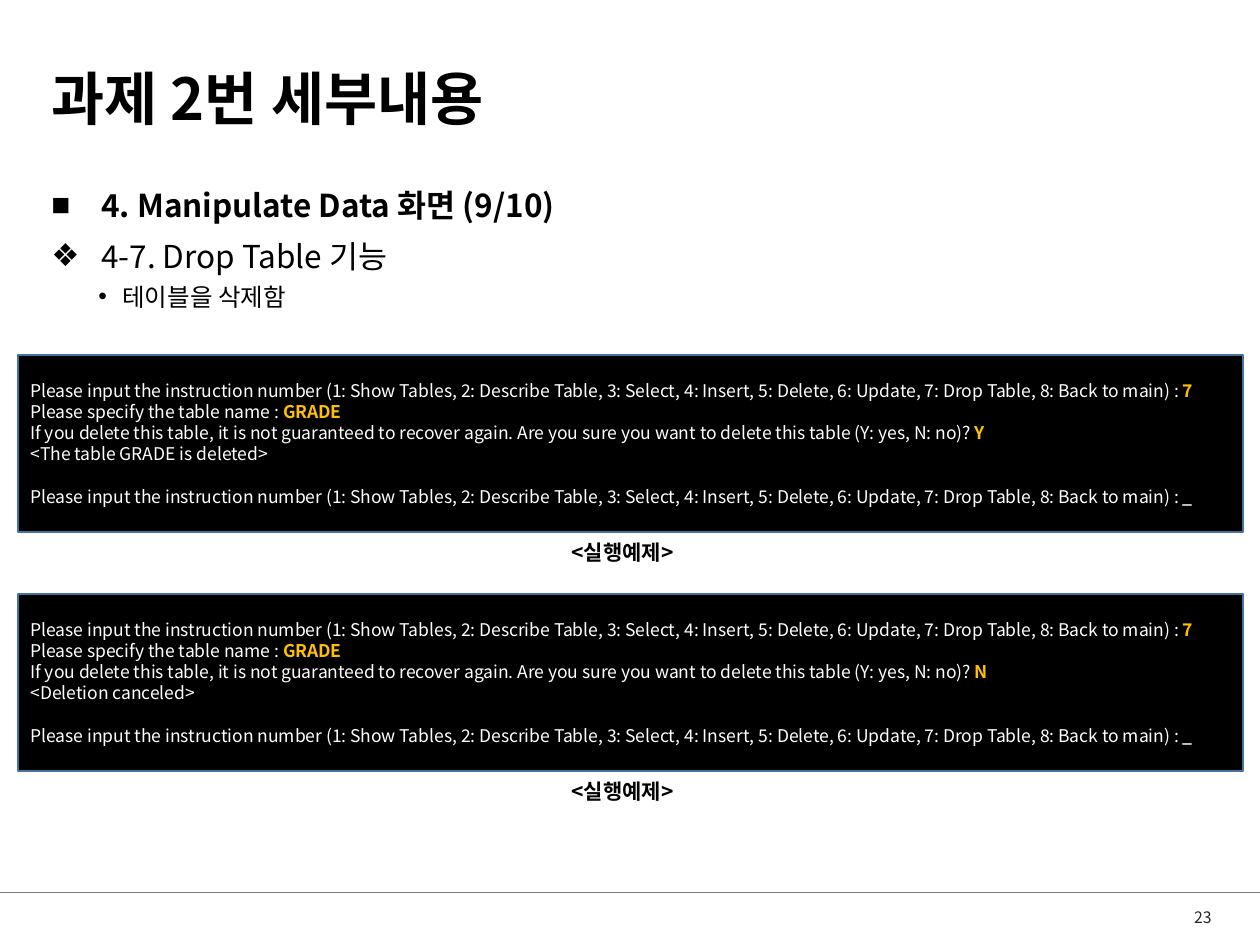
from lxml.etree import SubElement
from pptx import Presentation
from pptx.dml.color import RGBColor
from pptx.enum.shapes import MSO_CONNECTOR as Connector, MSO_SHAPE as Shape
from pptx.enum.text import MSO_ANCHOR as Anchor, MSO_AUTO_SIZE as AutoSize, PP_ALIGN as Align
from pptx.oxml.ns import qn
from pptx.util import Pt

FONT = "Noto Sans CJK KR"
BLACK, WHITE, AMBER = "000000", "FFFFFF", "FFC000"
BORDER, RULE, PAGE_GREY = "43739E", "808080", "262626"

TITLE = "과제 2번 세부내용"
# text, size, bold, bullet, left margin px, hanging px, space before
OUTLINE = [
    ("4. Manipulate Data 화면 (9/10)", 18, True, "■", 50, 50, 7.5),
    ("4-7. Drop Table 기능", 18, False, "❖", 50, 50, 7.5),
    ("테이블을 삭제함", 14, False, "•", 71, 24, 3.8),
]
MENU = ("Please input the instruction number (1: Show Tables, 2: Describe Table, "
        "3: Select, 4: Insert, 5: Delete, 6: Update, 7: Drop Table, 8: Back to main) : ")
CONFIRM = ("If you delete this table, it is not guaranteed to recover again. "
           "Are you sure you want to delete this table (Y: yes, N: no)? ")
# answer typed by the user, resulting message
SESSIONS = [("Y", "<The table GRADE is deleted>"), ("N", "<Deletion canceled>")]
CAPTION = "<실행예제>"
PAGE_NUMBER = "23"

CONSOLE_TOP, CONSOLE_PITCH, CONSOLE_HEIGHT = 355, 239, 177


def px(length):
    return round(length * 914400 / 126)


def rgb(color):
    return RGBColor.from_string(color)


def style(run, size, color=BLACK, bold=False):
    font = run.font
    font.size, font.bold, font.name = Pt(size), bold, FONT
    font.color.rgb = rgb(color)
    SubElement(font._element, qn("a:ea")).set("typeface", FONT)


def add_text(box, text, size, color=BLACK, bold=False):
    paragraph = box.text_frame.paragraphs[0]
    paragraph.text = text
    style(paragraph.runs[0], size, color, bold)
    return paragraph


def add_box(left, top, width, height, anchor=Anchor.TOP, wrap=True):
    box = slide.shapes.add_textbox(px(left), px(top), px(width), px(height))
    box.text_frame.word_wrap = wrap
    box.text_frame.vertical_anchor = anchor
    return box


def add_outline(box):
    frame = box.text_frame
    frame.text = "\n".join(item[0] for item in OUTLINE)
    for paragraph, item in zip(frame.paragraphs, OUTLINE):
        _, size, bold, bullet, margin, hanging, before = item
        paragraph.space_before = Pt(before)
        style(paragraph.runs[0], size, bold=bold)
        properties = paragraph._p.get_or_add_pPr()
        properties.set("marL", str(px(margin)))
        properties.set("indent", str(-px(hanging)))
        SubElement(properties, qn("a:buFont")).set("typeface", "Arial")
        SubElement(properties, qn("a:buChar")).set("char", bullet)


def add_console(top, answer, result):
    console = slide.shapes.add_shape(
        Shape.RECTANGLE, px(18), px(top), px(1225), px(CONSOLE_HEIGHT))
    console.shadow.inherit = False
    console.fill.solid()
    console.fill.fore_color.rgb = rgb(BLACK)
    console.line.color.rgb = rgb(BORDER)
    console.line.width = Pt(1)
    # prompt, typed input, input colour
    lines = [
        (MENU, "7", AMBER),
        ("Please specify the table name : ", "GRADE", AMBER),
        (CONFIRM, answer, AMBER),
        (result, "", WHITE),
        (MENU, "_", WHITE),
    ]
    frame = console.text_frame
    frame.word_wrap = True
    frame.vertical_anchor = Anchor.MIDDLE
    frame.text = "\n".join(prompt for prompt, _, _ in lines)
    for paragraph, (_, typed, color) in zip(frame.paragraphs, lines):
        paragraph.alignment = Align.LEFT
        style(paragraph.runs[0], 10, WHITE)
        if typed:
            entry = paragraph.add_run()
            entry.text = typed
            style(entry, 10, color, True)
    frame.paragraphs[-1].space_before = Pt(12)


prs = Presentation()
prs.slide_width, prs.slide_height = px(1260), px(945)
slide = prs.slides.add_slide(prs.slide_layouts[6])

footer_rule = slide.shapes.add_connector(
    Connector.STRAIGHT, 0, px(892), px(1260), px(892))
footer_rule.line.color.rgb = rgb(RULE)
footer_rule.line.width = Pt(0.5)
SubElement(footer_rule._element.spPr, qn("a:effectLst"))

title = add_text(add_box(39, 34, 1182, 135, Anchor.MIDDLE), TITLE, 33, bold=True)
title.line_spacing = 0.9
add_outline(add_box(39, 180, 1182, 692))

for index, session in enumerate(SESSIONS):
    top = CONSOLE_TOP + index * CONSOLE_PITCH
    add_console(top, *session)
    caption = add_box(559, top + CONSOLE_HEIGHT + 1, 141, 38, wrap=False)
    caption.text_frame.auto_size = AutoSize.SHAPE_TO_FIT_TEXT
    add_text(caption, CAPTION, 12, bold=True)

page = add_text(add_box(1116, 900, 108, 35, Anchor.MIDDLE), PAGE_NUMBER, 9, PAGE_GREY)
page.alignment = Align.RIGHT

prs.save("out.pptx")
